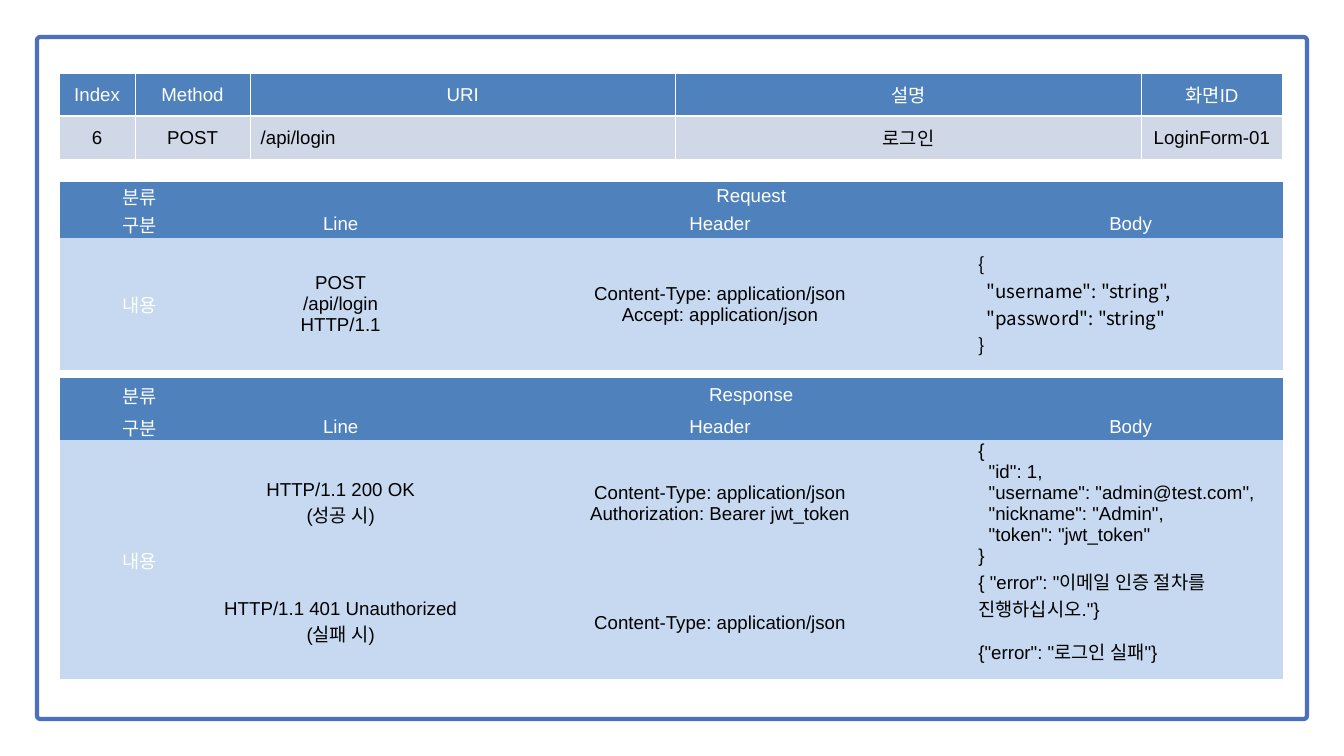
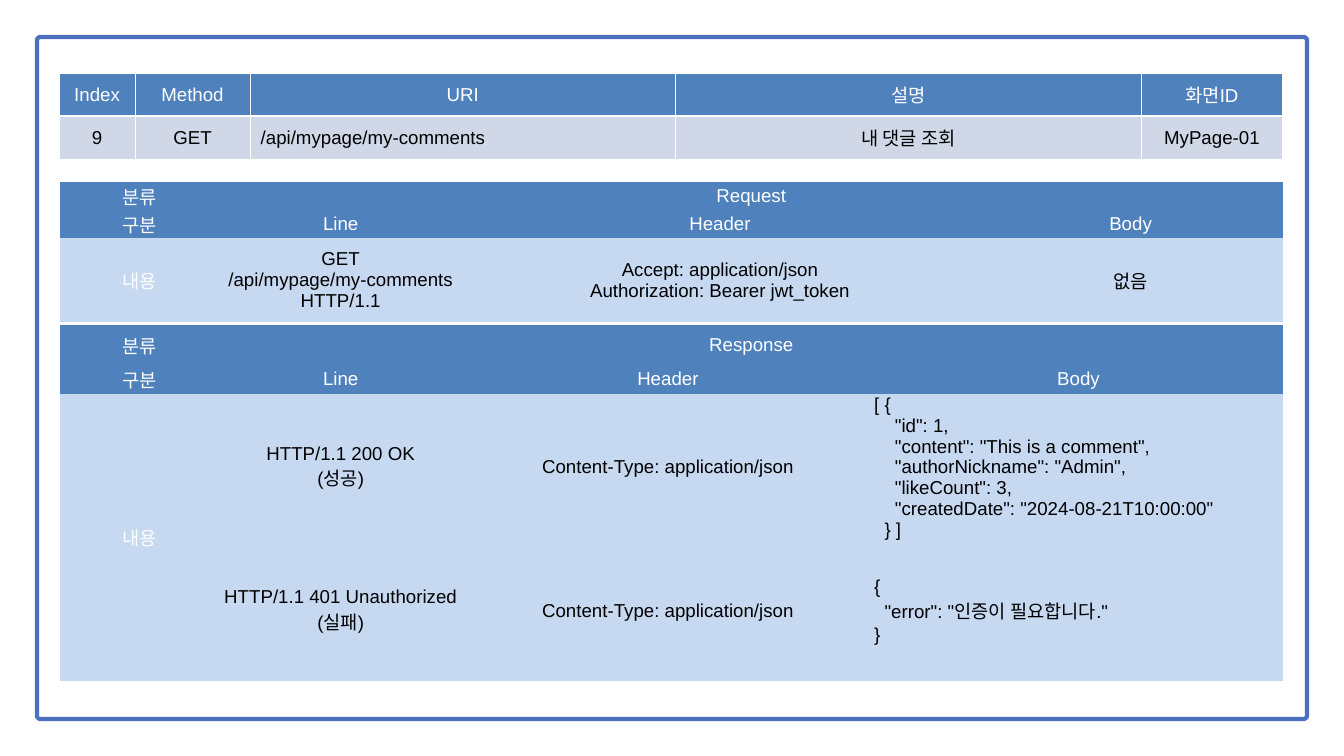
import pptx
import pptx.util
import pptx.dml.color
import pptx.enum.shapes
import pptx.enum.text
import lxml.etree

Inches = pptx.util.Inches
Align = pptx.enum.text.PP_ALIGN
NS = "http://schemas.openxmlformats.org/drawingml/2006/main"
PLAIN = "{2D5ABB26-0587-4C30-8999-92F81FD0307C}"  # table style without grid
WHITE, BLACK, BLUE, EDGE = "FFFFFF", "000000", "4F81BD", "4C6FBF"
KOREAN = "Noto Sans CJK KR"

# Looks of the two kinds of table
INDEX = dict(left=0.88, heads=1, body="D0D8E8", lined=True,
             insets=(0.16, 0.08, 0.16, 0.08))
DETAIL = dict(left=0.9, heads=2, body="C6D9F1", lined=False,
              insets=(0.01, 0.01, 0.01, 0))
SIDES = ("margin_left", "margin_top", "margin_right", "margin_bottom")
FONT = dict(size=pptx.util.Pt(20), bold=False)

# Column widths and shared rows
INDEX_COLS = [1.13, 1.71, 6.33, 6.94, 2.09]
WIDE_COLS = [2.36, 3.62, 7.67, 4.55]
EVEN_COLS = [2.36, 3.62, 6.12, 6.1]
INDEX_HEAD = ["Index", "Method", "URI", "설명", "화면ID"]
PARTS = ["구분", "Line", "Header", "Body"]
JSON = "Content-Type: application/json"
TOKEN = "Authorization: Bearer jwt_token"
ACCEPT = "Accept: application/json"

# Each page: index row, then top, height, columns, row heights and cells
PAGES = [
    (["6", "POST", "/api/login", "로그인", "LoginForm-01"], [
        ("Request", 2.71, 2.71, WIDE_COLS, [0.39, 0.29, 1.97], [
            ["내용", "POST\n/api/login\nHTTP/1.1", f"{JSON}\n{ACCEPT}",
             '{\n  "username": "string",\n  "password": "string"\n}']]),
        ("Response", 5.62, 4.59, WIDE_COLS, [0.52, 0.39, 1.68, 0.84, 0.84], [
            ["내용", "HTTP/1.1 200 OK\n(성공 시)", f"{JSON}\n{TOKEN}",
             '{\n  "id": 1,\n  "username": "admin@test.com",\n'
             '  "nickname": "Admin",\n  "token": "jwt_token"\n}'],
            [None, "HTTP/1.1 401 Unauthorized (실패 시)", JSON,
             '{ "error": "이메일 인증 절차를 진행하십시오."}'],
            [None, None, None, '{"error": "로그인 실패"}']])]),
    (["9", "GET", "/api/mypage/my-comments", "내 댓글 조회", "MyPage-01"], [
        ("Request", 2.71, 1.95, WIDE_COLS, [0.25, 0.23, 1.26], [
            ["내용", "GET\n/api/mypage/my-comments HTTP/1.1",
             f"{ACCEPT}\n{TOKEN}", "없음"]]),
        ("Response", 4.84, 5.45, EVEN_COLS, [0.58, 0.44, 2.09, 2.09], [
            ["내용", "HTTP/1.1 200 OK\n(성공)", JSON,
             '[ {\n    "id": 1,\n    "content": "This is a comment",\n'
             '    "authorNickname": "Admin",\n    "likeCount": 3,\n'
             '    "createdDate": "2024-08-21T10:00:00"\n  } ]'],
            [None, "HTTP/1.1 401 Unauthorized\n(실패)", JSON,
             '{\n  "error": "인증이 필요합니다."\n}']])]),
]


def paint(fill, color):
    fill.solid()
    fill.fore_color.rgb = pptx.dml.color.RGBColor.from_string(color)


def add_grid(slide, look, top, height, cols, rows, cells):
    frame = slide.shapes.add_table(
        len(rows), len(cols), Inches(look["left"]), Inches(top),
        Inches(sum(cols)), Inches(height))
    table = frame.table
    table._tbl.tblPr.find(f"{{{NS}}}tableStyleId").text = PLAIN
    for col, width in zip(table.columns, cols):
        col.width = Inches(width)
    for row, tall in zip(table.rows, rows):
        row.height = Inches(tall)
    frame.height = Inches(height)

    for r, line in enumerate(cells):
        head = r < look["heads"]
        for c, text in enumerate(line):
            cell = table.cell(r, c)
            paint(cell.fill, BLUE if head else look["body"])
            cell.vertical_anchor = pptx.enum.text.MSO_ANCHOR.MIDDLE
            for side, inset in zip(SIDES, look["insets"]):
                setattr(cell, side, Inches(inset))

            # White borders, thicker under the head row
            if look["lined"]:
                props = cell._tc.get_or_add_tcPr()
                for i, edge in enumerate("LRTB"):
                    thick = 3 if head and edge == "B" else 1
                    props.insert(i, lxml.etree.fromstring(
                        f'<a:ln{edge} xmlns:a="{NS}" w="{thick * 12700}">'
                        f'<a:solidFill><a:srgbClr val="{WHITE}"/></a:solidFill>'
                        f'</a:ln{edge}>'))
            if text is None:
                continue

            # Empty places to the right and below belong to this cell
            right, below = c, r
            while right + 1 < len(cols) and line[right + 1] is None:
                right += 1
            while below + 1 < len(rows) and cells[below + 1][c] is None:
                below += 1
            if (right, below) != (c, r):
                cell.merge(table.cell(below, right))

            # Code and addresses stand left, all else is centred
            cell.text = text
            left = text.startswith(("{", "[", "/"))
            for para in cell.text_frame.paragraphs:
                para.alignment = Align.LEFT if left else Align.CENTER
                for run in para.runs:
                    for key, value in FONT.items():
                        setattr(run.font, key, value)
                    run.font.name = KOREAN if '"string"' in text else "Arial"
                    paint(run.font.fill,
                          WHITE if head or text == "내용" else BLACK)
                    lxml.etree.SubElement(
                        run.font._element, f"{{{NS}}}ea", typeface=KOREAN)


deck = pptx.Presentation()
deck.slide_width, deck.slide_height = Inches(20), Inches(11.25)

for entry, groups in PAGES:
    slide = deck.slides.add_slide(deck.slide_layouts[6])

    # Frame around the page
    border = slide.shapes.add_shape(
        pptx.enum.shapes.MSO_SHAPE.ROUNDED_RECTANGLE,
        Inches(0.55), Inches(0.55), Inches(18.9), Inches(10.15))
    border.adjustments[0] = 0.005
    border.shadow.inherit = False
    paint(border.fill, WHITE)
    paint(border.line.fill, EDGE)
    border.line.width = pptx.util.Pt(4.5)

    # Request and response
    for name, top, height, cols, rows, body in groups:
        cells = [["분류", name, None, None], PARTS] + body
        add_grid(slide, DETAIL, top, height, cols, rows, cells)

    # Index entry
    add_grid(slide, INDEX, 1.09, 1.28, INDEX_COLS, [0.64] * 2,
             [INDEX_HEAD, entry])

deck.save("out.pptx")
